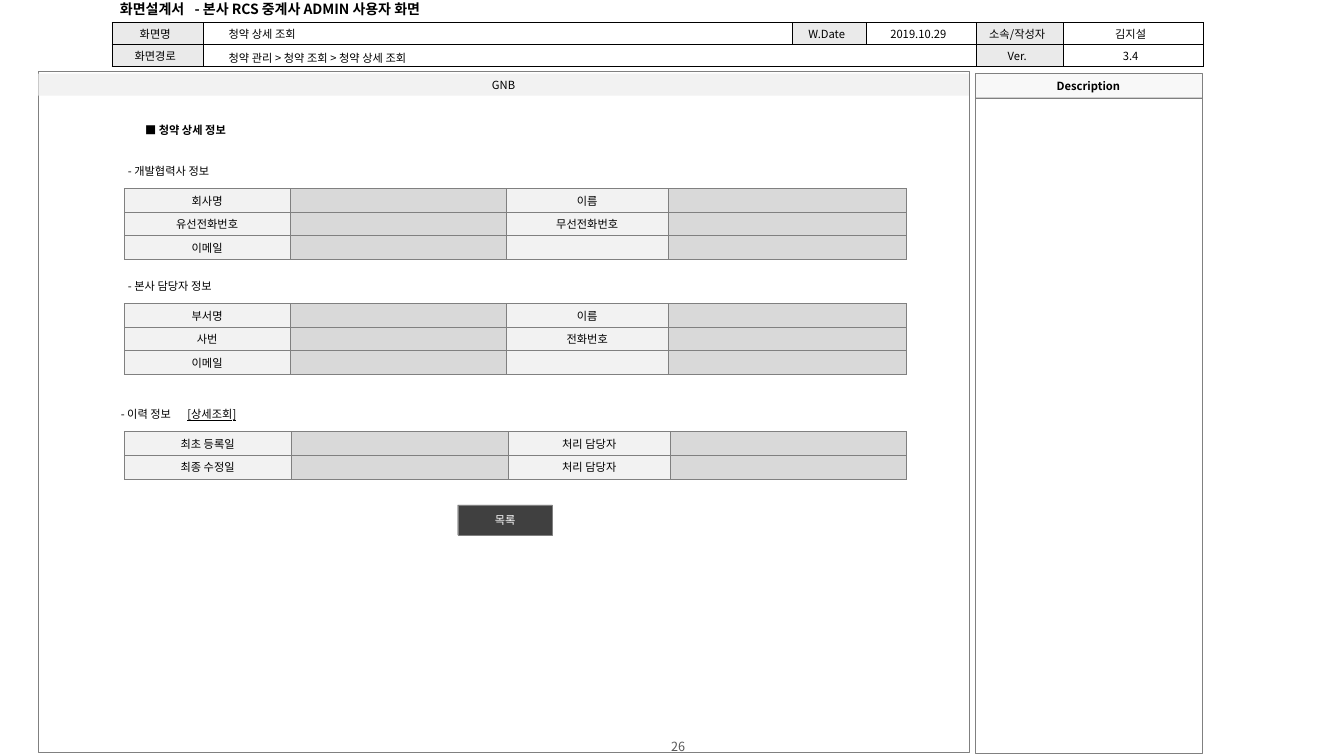
from dataclasses import dataclass

from lxml import etree
from pptx import Presentation
from pptx.dml.color import RGBColor
from pptx.enum.shapes import MSO_SHAPE
from pptx.enum.text import MSO_ANCHOR, MSO_AUTO_SIZE, PP_ALIGN
from pptx.oxml.ns import qn
from pptx.util import Inches, Pt

RECT = MSO_SHAPE.RECTANGLE
TOP, MIDDLE = MSO_ANCHOR.TOP, MSO_ANCHOR.MIDDLE
LEFT, CENTER = PP_ALIGN.LEFT, PP_ALIGN.CENTER
NO_FIT = MSO_AUTO_SIZE.NONE
FONT = "Noto Sans CJK KR"
BLACK, WHITE, GRAY = "000000", "FFFFFF", "808080"
LABEL, FIELD, HEADER = "F2F2F2", "D9D9D9", "EAEAEA"
HAIRLINE = Pt(0.25)


@dataclass
class Box:
    x: float
    y: float
    w: float
    h: float
    text: str = ""
    fill: str = ""
    line: str = GRAY
    color: str = BLACK
    bold: bool = False


@dataclass
class Label:
    x: float
    y: float
    w: float
    text: str
    bold: bool = False


@dataclass
class Form:
    y: float
    h: float
    cols: list[float]
    rows: list[list[str]]


def rgb(value: str) -> RGBColor:
    return RGBColor.from_string(value)


def add_run(p, text: str, size: float = 8, color: str = BLACK,
            bold: bool = False, underline: bool = False) -> None:
    r = p.add_run()
    r.text = text
    r.font.size, r.font.name = Pt(size), FONT
    r.font.bold, r.font.underline = bold, underline
    r.font.color.rgb = rgb(color)
    etree.SubElement(r.font._element, qn("a:ea"), typeface=FONT)


def write(tf, text: str, align=LEFT, anchor=TOP, **fmt):
    tf.word_wrap, tf.auto_size, tf.vertical_anchor = True, NO_FIT, anchor
    p = tf.paragraphs[0]
    p.alignment = align
    add_run(p, text, **fmt)
    return p


def add_tab(p, position: float) -> None:
    tabs = etree.SubElement(p._p.get_or_add_pPr(), qn("a:tabLst"))
    etree.SubElement(tabs, qn("a:tab"), pos=str(Inches(position)), algn="l")


def add_box(slide, box: Box) -> None:
    sp = slide.shapes.add_shape(RECT, Inches(box.x), Inches(box.y), Inches(box.w), Inches(box.h))
    sp.shadow.inherit = False
    if box.fill:
        sp.fill.solid()
        sp.fill.fore_color.rgb = rgb(box.fill)
    else:
        sp.fill.background()
    if box.line:
        sp.line.color.rgb = rgb(box.line)
        sp.line.width = HAIRLINE
    else:
        sp.line.fill.background()
    if box.text:
        write(sp.text_frame, box.text, CENTER, MIDDLE, color=box.color, bold=box.bold)


def add_label(slide, label: Label):
    sp = slide.shapes.add_textbox(Inches(label.x), Inches(label.y), Inches(label.w), Inches(0.24))
    return write(sp.text_frame, label.text, bold=label.bold)


def format_cell(cell, text: str, fill: str, border: str) -> None:
    cell.fill.solid()
    cell.fill.fore_color.rgb = rgb(fill)
    cell.vertical_anchor = MIDDLE
    cell.margin_top = cell.margin_bottom = Inches(0.02)
    p = cell.text_frame.paragraphs[0]
    p.alignment = CENTER
    if text:
        add_run(p, text)
    else:
        etree.SubElement(p._p, qn("a:endParaRPr"), sz="800")
    props = cell._tc.get_or_add_tcPr()
    for i, side in enumerate(("lnL", "lnR", "lnT", "lnB")):
        ln = etree.Element(qn(f"a:{side}"), w=str(HAIRLINE))
        solid = etree.SubElement(ln, qn("a:solidFill"))
        etree.SubElement(solid, qn("a:srgbClr"), val=border)
        props.insert(i, ln)


def add_table(slide, x: float, y: float, h: float, cols: list[float],
              rows: list[list[str]], fills: list[str], border: str):
    frame = slide.shapes.add_table(len(rows), len(cols), Inches(x), Inches(y),
                                   Inches(sum(cols)), Inches(h))
    table = frame.table
    table.first_row = table.horz_banding = False
    for column, width in zip(table.columns, cols):
        column.width = Inches(width)
    for i, row in enumerate(rows):
        for j, (text, fill) in enumerate(zip(row, fills)):
            format_cell(table.cell(i, j), text, fill, border)
    return table


FRAMES = [
    Box(0.38, 0.71, 9.23, 6.75),
    Box(9.67, 0.96, 2.25, 6.51),
    Box(9.67, 0.73, 2.25, 0.24, "Description", "F8F8F8", bold=True),
    Box(0.38, 0.73, 9.23, 0.22, "GNB", LABEL, line=""),
]
LIST_BUTTON = Box(4.54, 5.01, 0.94, 0.3, "목록", "404040", color=WHITE)
LABELS = [
    Label(1.34, 1.17, 1.3, "■ 청약 상세 정보", bold=True),
    Label(2.17, 0.22, 3.14, "청약 상세 조회"),
    Label(2.17, 0.46, 3.14, "청약 관리 > 청약 조회 > 청약 상세 조회"),
    Label(1.17, 1.58, 1.42, "- 개발협력사 정보"),
    Label(1.17, 2.72, 1.42, "- 본사 담당자 정보"),
]
HISTORY = Label(1.1, 3.99, 1.6, "- 이력 정보\t")
CONTACT_COLS = [1.65, 2.14, 1.61, 2.36]
FORMS = [
    Form(1.87, 0.7, CONTACT_COLS, [["회사명", "", "이름", ""],
                                   ["유선전화번호", "", "무선전화번호", ""],
                                   ["이메일", "", "", ""]]),
    Form(3.01, 0.7, CONTACT_COLS, [["부서명", "", "이름", ""],
                                   ["사번", "", "전화번호", ""],
                                   ["이메일", "", "", ""]]),
    Form(4.28, 0.47, [1.66, 2.15, 1.61, 2.34], [["최초 등록일", "", "처리 담당자", ""],
                                                ["최종 수정일", "", "처리 담당자", ""]]),
]
HEADER_COLS = [0.91, 5.84, 0.73, 1.09, 0.87, 1.38]
HEADER_ROWS = [["화면명", "", "W.Date", "2019.10.29", "소속/작성자", "김지설"],
               ["화면경로", "", "", "", "Ver.", "3.4"]]


def main() -> None:
    prs = Presentation()
    prs.slide_width, prs.slide_height = Inches(13.33), Inches(7.5)
    slide = prs.slides.add_slide(prs.slide_layouts[5])

    # Title
    title = slide.shapes.title
    title.left, title.top = Inches(1.1), Inches(-0.04)
    title.width, title.height = Inches(3.6), Inches(0.26)
    tf = title.text_frame
    tf.margin_left = tf.margin_right = Inches(0.09)
    tf.margin_top = tf.margin_bottom = Inches(0.04)
    p = write(tf, "화면설계서\t- 본사 RCS 중계사 ADMIN 사용자 화면", anchor=MIDDLE, size=10, bold=True)
    add_tab(p, 0.74)

    # Page frames and header table
    for frame in FRAMES:
        add_box(slide, frame)
    header = add_table(slide, 1.11, 0.22, 0.44, HEADER_COLS, HEADER_ROWS,
                       [HEADER, WHITE] * 3, BLACK)
    header.cell(1, 1).merge(header.cell(1, 3))
    for cell in (c for row in header.rows for c in row.cells):
        cell.margin_left, cell.margin_right = Inches(0.04), Inches(0.09)

    # Section labels
    for label in LABELS:
        add_label(slide, label)
    p = add_label(slide, HISTORY)
    add_tab(p, 0.66)
    add_run(p, "[상세조회]", underline=True)

    # Forms and button
    for form in FORMS:
        add_table(slide, 1.23, form.y, form.h, form.cols, form.rows, [LABEL, FIELD] * 2, GRAY)
    add_box(slide, LIST_BUTTON)

    # Page number
    sp = slide.shapes.add_textbox(Inches(5.17), Inches(7.34), Inches(3.11), Inches(0.13))
    write(sp.text_frame, "26", CENTER, MIDDLE, size=9, color="595959")

    prs.save("out.pptx")


if __name__ == "__main__":
    main()
